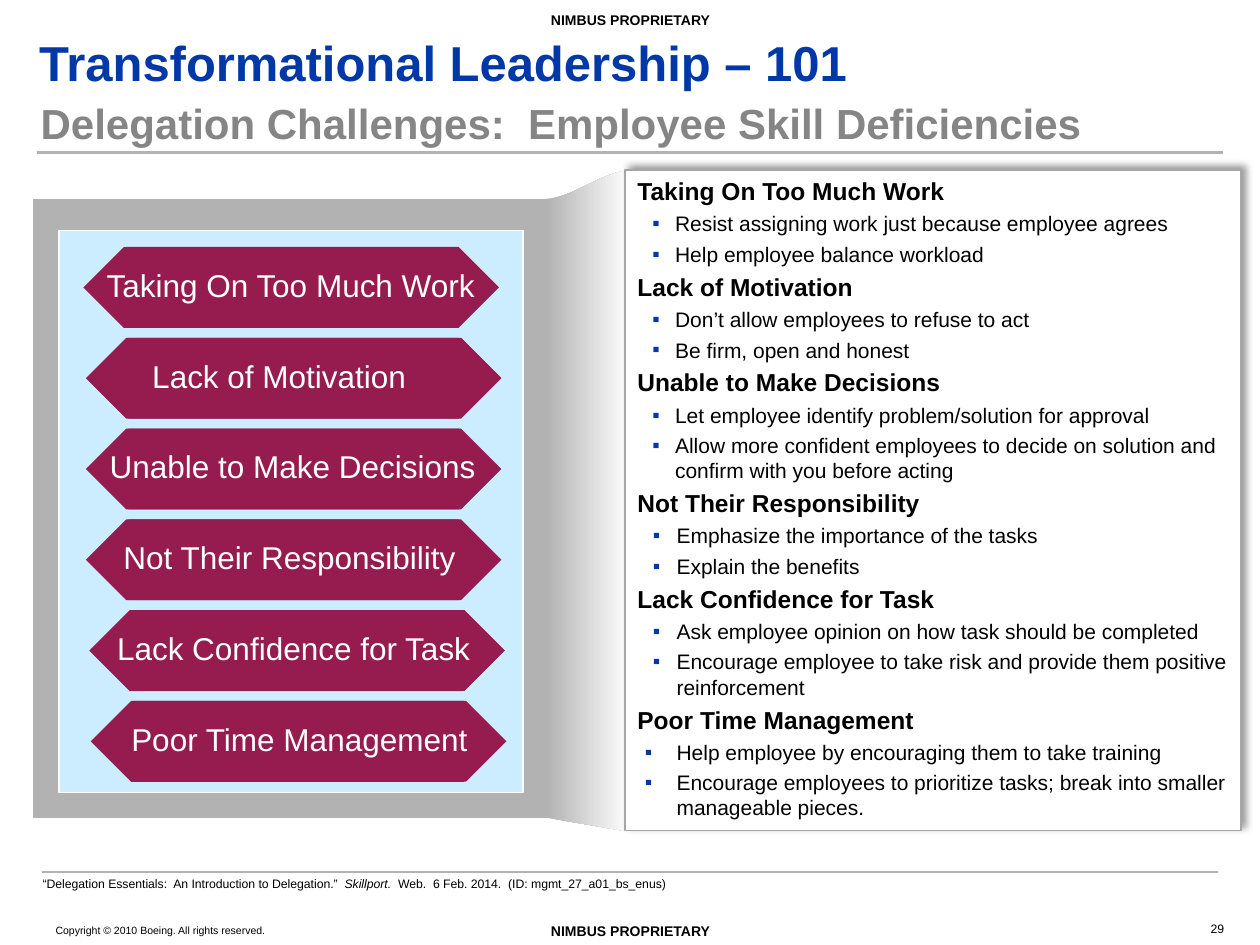
from lxml import etree
from pptx import Presentation
from pptx.dml.color import RGBColor
from pptx.enum.shapes import MSO_CONNECTOR, MSO_SHAPE
from pptx.enum.text import MSO_ANCHOR, PP_ALIGN
from pptx.oxml.ns import qn
from pptx.util import Cm, Pt

LEFT, CENTER, RIGHT = PP_ALIGN.LEFT, PP_ALIGN.CENTER, PP_ALIGN.RIGHT
TOP, MIDDLE = MSO_ANCHOR.TOP, MSO_ANCHOR.MIDDLE
RECTANGLE, PENTAGON = MSO_SHAPE.RECTANGLE, MSO_SHAPE.PENTAGON
STRAIGHT = MSO_CONNECTOR.STRAIGHT

FONT = "Arial"
BLACK = RGBColor(0x00, 0x00, 0x00)
WHITE = RGBColor(0xFF, 0xFF, 0xFF)
BLUE = RGBColor(0x00, 0x38, 0xA8)
TITLE_GRAY = RGBColor(0x85, 0x85, 0x85)
GRAY = RGBColor(0xB2, 0xB2, 0xB2)
EDGE_GRAY = RGBColor(0xA6, 0xA6, 0xA6)
PALE_BLUE = RGBColor(0xCC, 0xEC, 0xFF)
MAROON = RGBColor(0x96, 0x1B, 0x4E)

MARKING = "NIMBUS PROPRIETARY"
ARROW_TOP, ARROW_STEP = 4.98, 1.83
ARROW_WIDTH, ARROW_HEIGHT, ARROW_SHIFT = 7.52, 1.63, 0.86

# label, arrow left, text left, text width, alignment
ARROWS = [
    ("Taking On Too Much Work", 1.68, 1.9, 8.69, LEFT),
    ("Lack of Motivation", 1.73, 2.82, 6.15, LEFT),
    ("Unable to Make Decisions", 1.73, 1.96, 7.9, LEFT),
    ("Not Their Responsibility", 1.73, 2.24, 8.26, LEFT),
    ("Lack Confidence for Task", 1.8, 2.11, 8.41, LEFT),
    ("Poor Time Management", 1.83, 2.16, 7.75, CENTER),
]

# bullets, text indent, bullet hang
ADVICE = [
    (["Resist assigning work just because employee agrees",
      "Help employee balance workload"], 0.76, 0.46),
    (["Don’t allow employees to refuse to act",
      "Be firm, open and honest"], 0.76, 0.46),
    (["Let employee identify problem/solution for approval",
      "Allow more confident employees to decide on solution and "
      "confirm with you before acting"], 0.76, 0.46),
    (["Emphasize the importance of the tasks",
      "Explain the benefits"], 0.79, 0.48),
    (["Ask employee opinion on how task should be completed",
      "Encourage employee to take risk and provide them positive "
      "reinforcement"], 0.79, 0.48),
    (["Help employee by encouraging them to take training",
      "Encourage employees to prioritize tasks; break into smaller "
      "manageable pieces."], 0.79, 0.64),
]


def format_runs(para, size, color=BLACK, bold=False):
    """Set the font of every run in a paragraph."""
    for span in para.runs:
        span.font.name = FONT
        span.font.size = Pt(size)
        span.font.bold = bold
        span.font.color.rgb = color


def add_label(page, text, place, size, color=BLACK, bold=False, align=LEFT,
              anchor=TOP, wrap=True, margins=(0.03, 0.03)):
    """Add a one-paragraph text box and return the paragraph."""
    box = page.shapes.add_textbox(*map(Cm, place))
    frame = box.text_frame
    frame.word_wrap = wrap
    frame.vertical_anchor = anchor
    frame.margin_left = frame.margin_right = Cm(margins[0])
    frame.margin_top = frame.margin_bottom = Cm(margins[1])
    frame.text = text
    para = frame.paragraphs[0]
    para.alignment = align
    format_runs(para, size, color, bold)
    return para


def add_block(page, kind, place, fill, line=None, width=1):
    """Add a flat filled shape with an optional outline."""
    block = page.shapes.add_shape(kind, *map(Cm, place))
    block.shadow.inherit = False
    block.fill.solid()
    block.fill.fore_color.rgb = fill
    if line is None:
        block.line.fill.background()
    else:
        block.line.color.rgb = line
        block.line.width = Pt(width)
    return block


def add_rule(page, left, right, top, width):
    """Add a horizontal gray rule."""
    rule = page.shapes.add_connector(STRAIGHT, Cm(left), Cm(top), Cm(right), Cm(top))
    rule.line.color.rgb = GRAY
    rule.line.width = Pt(width)
    etree.SubElement(rule.element.spPr, qn("a:effectLst"))


def add_double_arrow(page, row, label, left, text_left, text_width, align):
    """Add two opposed pentagons with a label over them."""
    top = ARROW_TOP + row * ARROW_STEP
    for shift, rotation in ((0, 180), (ARROW_SHIFT, 0)):
        place = (left + shift, top, ARROW_WIDTH, ARROW_HEIGHT)
        add_block(page, PENTAGON, place, MAROON).rotation = rotation
    add_label(page, label, (text_left, top + 0.25, text_width, 1.02), 18, WHITE,
              align=align, margins=(0.25, 0.13))


def add_fold(page):
    """Add the shaded fold that joins the gray frame to the panel."""
    curve = [(11, 4.01), (11.53, 4.01), (12.17, 3.43), (12.7, 3.45)]
    weights = (1, 3, 3, 1)
    points = []
    for step in range(17):
        t = step / 16
        points.append(tuple(
            Cm(sum(weights[i] * (1 - t) ** (3 - i) * t ** i * curve[i][axis]
                   for i in range(4)))
            for axis in (0, 1)))
    points += [(Cm(12.65), Cm(16.76)), (Cm(11), Cm(16.48))]
    builder = page.shapes.build_freeform(*points[0], scale=1.0)
    builder.add_line_segments(points[1:], close=True)
    fold = builder.convert_to_shape()
    fold.shadow.inherit = False
    fold.line.fill.background()
    fold.fill.gradient()
    fold.fill.gradient_angle = 0
    for stop, color in zip(fold.fill.gradient_stops, (GRAY, WHITE)):
        stop.color.rgb = color


def add_shadow(block):
    """Give a shape a soft shadow to the upper right."""
    effects = block.element.spPr.find(qn("a:effectLst"))
    shadow = etree.SubElement(effects, qn("a:outerShdw"), blurRad=str(Pt(4)),
                              dist=str(Pt(3)), dir=str(315 * 60000),
                              algn="bl", rotWithShape="0")
    color = etree.SubElement(shadow, qn("a:srgbClr"), val=str(BLACK))
    etree.SubElement(color, qn("a:alpha"), val="40000")


def add_bullet(para, indent, hang):
    """Give a paragraph a blue square bullet."""
    para.level = 1
    props = para._p.get_or_add_pPr()
    props.set("marL", str(Cm(indent)))
    props.set("indent", str(-Cm(hang)))
    color = etree.SubElement(props, qn("a:buClr"))
    etree.SubElement(color, qn("a:srgbClr"), val=str(BLUE))
    etree.SubElement(props, qn("a:buFont"), typeface=FONT)
    etree.SubElement(props, qn("a:buChar"), char="▪")


def add_panel(page):
    """Add the white panel with a heading and bullets for each challenge."""
    panel = add_block(page, RECTANGLE, (12.6, 3.43, 12.42, 13.31), WHITE, EDGE_GRAY, 0.75)
    add_shadow(panel)
    frame = panel.text_frame
    frame.word_wrap = True
    frame.vertical_anchor = TOP
    for number, (arrow, (bullets, indent, hang)) in enumerate(zip(ARROWS, ADVICE)):
        heading = frame.add_paragraph() if number else frame.paragraphs[0]
        heading.text = arrow[0]
        heading.alignment = LEFT
        if number:
            heading.space_before = Pt(3)
        format_runs(heading, 14, bold=True)
        for bullet in bullets:
            para = frame.add_paragraph()
            para.text = bullet
            add_bullet(para, indent, hang)
            para.alignment = LEFT
            para.space_before = Pt(3)
            format_runs(para, 12)


def add_source(page):
    """Add the citation with its site name in italics."""
    para = add_label(page, "“Delegation Essentials:  An Introduction to Delegation.”  ",
                     (0.61, 17.53, 22.86, 0.56), 7, margins=(0.25, 0.13))
    for text, italic in (("Skillport.  ", True),
                         ("Web.  6 Feb. 2014.  (ID: mgmt_27_a01_bs_enus)", False)):
        span = para.add_run()
        span.text = text
        span.font.italic = italic
    format_runs(para, 7)


def main():
    """Build the slide and save it."""
    deck = Presentation()
    deck.slide_width, deck.slide_height = Cm(25.4), Cm(19.05)
    page = deck.slides.add_slide(deck.slide_layouts[6])

    add_rule(page, 0.74, 24.66, 3.07, 2)
    for top in (0.2, 18.57):
        add_label(page, MARKING, (11.05, top, 3.33, 0.38), 8, bold=True,
                  align=CENTER, wrap=False)
    add_label(page, "Copyright © 2010 Boeing. All rights reserved.",
              (1.09, 18.59, 7.44, 0.3), 6)
    add_label(page, "Transformational Leadership – 101", (0.79, 0.64, 24.61, 1.22),
              28, BLUE, bold=True, anchor=MIDDLE, margins=(0, 0))
    add_rule(page, 0.84, 24.56, 17.58, 1.5)
    add_label(page, "29", (17.75, 18.42, 6.96, 0.61), 7, align=RIGHT, anchor=MIDDLE)
    subtitle = add_label(page, "Delegation Challenges:  Employee Skill Deficiencies",
                         (0.79, 2.06, 24.61, 1.24), 24, TITLE_GRAY, bold=True)
    subtitle.line_spacing = 0.9

    add_block(page, RECTANGLE, (0.64, 3.99, 10.41, 12.52), GRAY, WHITE)
    add_block(page, RECTANGLE, (1.19, 4.65, 9.35, 11.33), PALE_BLUE, WHITE)
    for row, arrow in enumerate(ARROWS):
        add_double_arrow(page, row, *arrow)
    add_fold(page)
    add_panel(page)
    add_source(page)
    deck.save("out.pptx")


if __name__ == "__main__":
    main()
